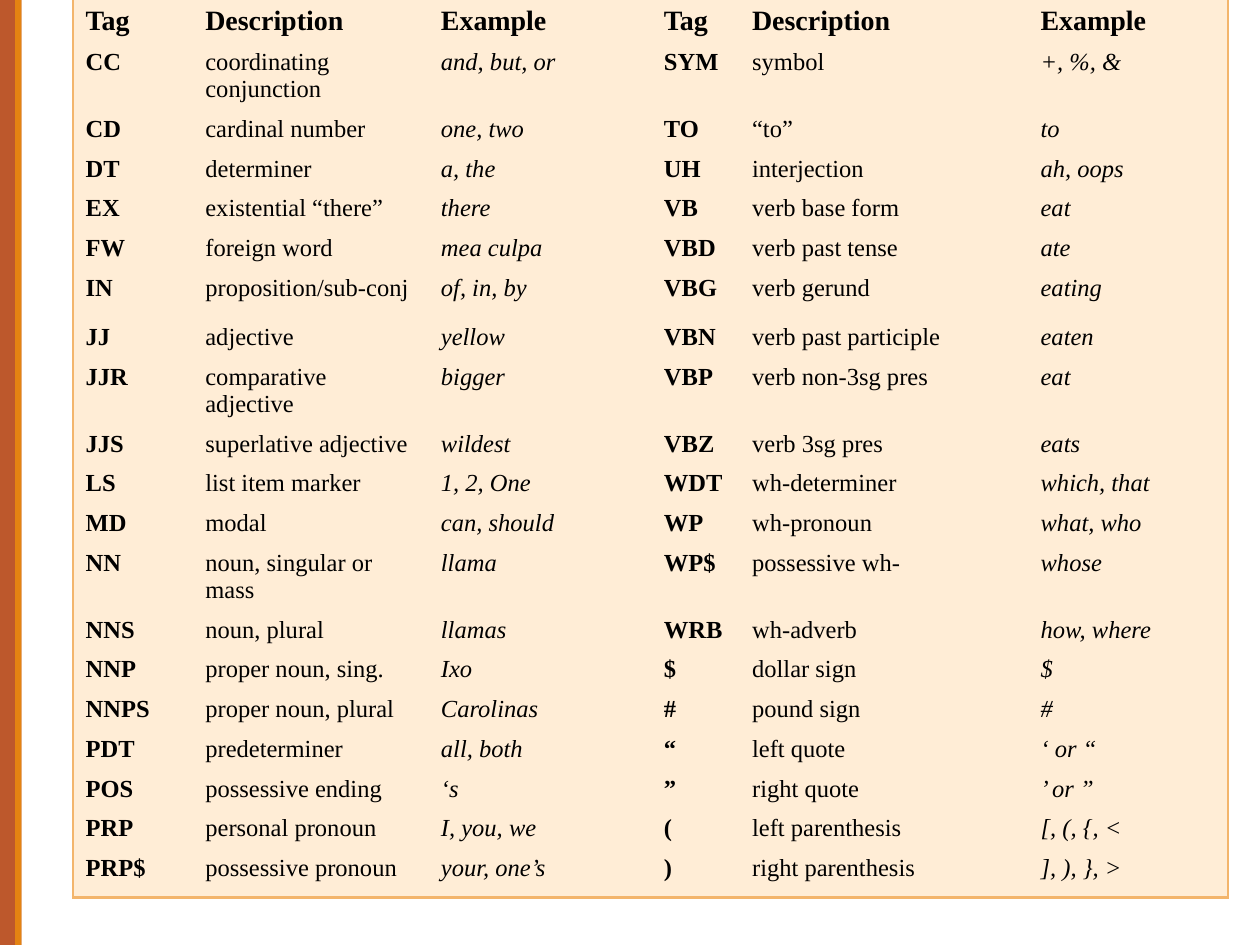
from lxml import etree
from pptx import Presentation
from pptx.dml.color import RGBColor
from pptx.enum.shapes import MSO_SHAPE
from pptx.oxml.ns import qn
from pptx.util import Inches, Pt

RECTANGLE = MSO_SHAPE.RECTANGLE
COLORS = {"rust": "BD582C", "orange": "E48312", "cream": "FFEDD6",
          "border": "F3B56C", "text": "000000"}
FONT = "Times New Roman"
NO_STYLE = "{2D5ABB26-0587-4C30-8999-92F81FD0307C}"

HEADER = ("Tag", "Description", "Example") * 2
TAGS = [
    ("CC", "coordinating conjunction", "and, but, or", "SYM", "symbol", "+, %, &"),
    ("CD", "cardinal number", "one, two", "TO", "“to”", "to"),
    ("DT", "determiner", "a, the", "UH", "interjection", "ah, oops"),
    ("EX", "existential “there”", "there", "VB", "verb base form", "eat"),
    ("FW", "foreign word", "mea culpa", "VBD", "verb past tense", "ate"),
    ("IN", "proposition/sub-conj", "of, in, by", "VBG", "verb gerund", "eating"),
    ("JJ", "adjective", "yellow", "VBN", "verb past participle", "eaten"),
    ("JJR", "comparative adjective", "bigger", "VBP", "verb non-3sg pres", "eat"),
    ("JJS", "superlative adjective", "wildest", "VBZ", "verb 3sg pres", "eats"),
    ("LS", "list item marker", "1, 2, One", "WDT", "wh-determiner", "which, that"),
    ("MD", "modal", "can, should", "WP", "wh-pronoun", "what, who"),
    ("NN", "noun, singular or mass", "llama", "WP$", "possessive wh-", "whose"),
    ("NNS", "noun, plural", "llamas", "WRB", "wh-adverb", "how, where"),
    ("NNP", "proper noun, sing.", "Ixo", "$", "dollar sign", "$"),
    ("NNPS", "proper noun, plural", "Carolinas", "#", "pound sign", "#"),
    ("PDT", "predeterminer", "all, both", "“", "left quote", "‘ or “"),
    ("POS", "possessive ending", "‘s", "”", "right quote", "’ or ”"),
    ("PRP", "personal pronoun", "I, you, we", "(", "left parenthesis", "[, (, {, <"),
    ("PRP$", "possessive pronoun", "your, one’s", ")", "right parenthesis", "], ), }, >"),
]
ROWS = [HEADER] + TAGS

COLUMN_WIDTHS = (0.95, 1.87, 1.77, 0.7, 2.29, 1.59)
HEADER_HEIGHT, ROW_HEIGHT, TALL_HEIGHT = 0.33, 0.3, 0.39
TALL_TAGS = {"CC", "IN", "NN", "PRP$"}
TABLE_LEFT, TABLE_TOP = 0.58, -0.01
SIDE_BARS = [("rust", 0, 0.17), ("orange", 0.12, 0.05)]  # colour, left, width

HEADER_FORMAT = {"size": Pt(16), "bold": True, "italic": False}
COLUMN_FORMATS = [  # tag, description, example
    {"size": Pt(14), "bold": True, "italic": False},
    {"size": Pt(14), "bold": False, "italic": False},
    {"size": Pt(14), "bold": False, "italic": True},
]


def rgb(name):
    return RGBColor.from_string(COLORS[name])


def row_height(tag):
    if tag == HEADER[0]:
        return HEADER_HEIGHT
    return TALL_HEIGHT if tag in TALL_TAGS else ROW_HEIGHT


def add_side_bar(slide, color, left, width, height):
    bar = slide.shapes.add_shape(RECTANGLE, Inches(left), 0, Inches(width), height)
    bar.shadow.inherit = False
    bar.fill.solid()
    bar.fill.fore_color.rgb = rgb(color)
    bar.line.fill.background()


def add_outer_borders(cell, row, column):
    """Draw only the cell sides that lie on the table's outline."""
    outline = {"a:lnL": column == 0, "a:lnR": column == len(HEADER) - 1,
               "a:lnT": row == 0, "a:lnB": row == len(ROWS) - 1}
    properties = cell._tc.get_or_add_tcPr()
    for side, on_outline in outline.items():
        if on_outline:
            line = etree.SubElement(properties, qn(side), w=str(Pt(1.5)))
            fill = etree.SubElement(line, qn("a:solidFill"))
            etree.SubElement(fill, qn("a:srgbClr"), val=COLORS["border"])


def fill_cell(cell, text, row, column):
    add_outer_borders(cell, row, column)
    cell.fill.solid()
    cell.fill.fore_color.rgb = rgb("cream")
    cell.text = text
    font = cell.text_frame.paragraphs[0].runs[0].font
    text_format = HEADER_FORMAT if row == 0 else COLUMN_FORMATS[column % 3]
    for attribute, value in text_format.items():
        setattr(font, attribute, value)
    font.name = FONT
    font.color.rgb = rgb("text")


def add_tag_table(slide):
    heights = [row_height(values[0]) for values in ROWS]
    table = slide.shapes.add_table(
        len(ROWS), len(HEADER), Inches(TABLE_LEFT), Inches(TABLE_TOP),
        Inches(sum(COLUMN_WIDTHS)), Inches(sum(heights))).table
    table.horz_banding = False
    table._tbl.tblPr.find(qn("a:tableStyleId")).text = NO_STYLE
    for column, width in zip(table.columns, COLUMN_WIDTHS):
        column.width = Inches(width)
    for row, (values, height) in enumerate(zip(ROWS, heights)):
        table.rows[row].height = Inches(height)
        for column, text in enumerate(values):
            fill_cell(table.cell(row, column), text, row, column)


def main():
    deck = Presentation()
    deck.slide_width, deck.slide_height = Inches(10), Inches(7.5)
    slide = deck.slides.add_slide(deck.slide_layouts[6])
    for color, left, width in SIDE_BARS:
        add_side_bar(slide, color, left, width, deck.slide_height)
    add_tag_table(slide)
    deck.save("out.pptx")


if __name__ == "__main__":
    main()
